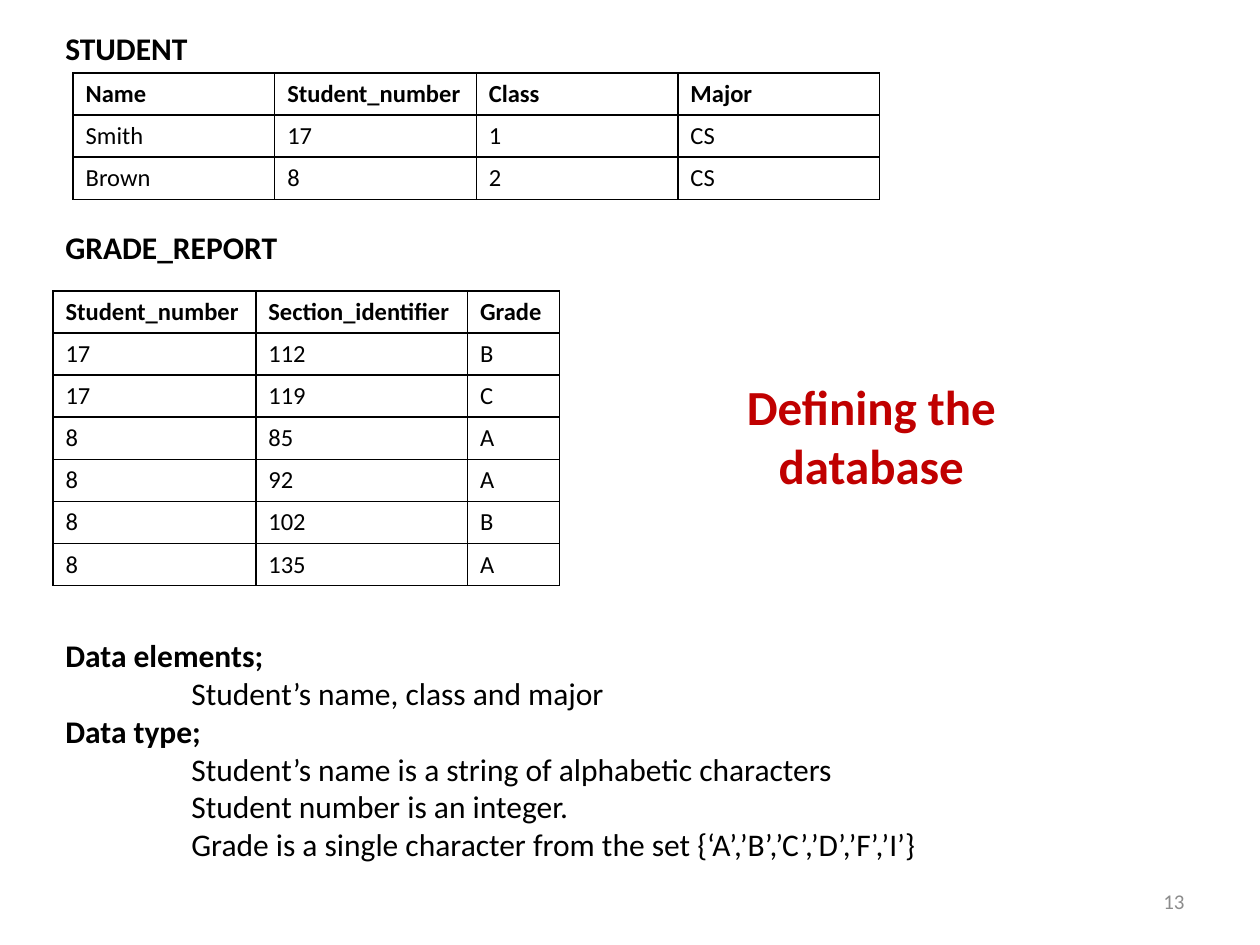
import pptx
import pptx.util
import pptx.dml.color
import pptx.enum.text
import pptx.oxml.ns
from lxml import etree
from pptx.util import Inches, Pt

RGBColor = pptx.dml.color.RGBColor
PP_ALIGN = pptx.enum.text.PP_ALIGN
MSO_ANCHOR = pptx.enum.text.MSO_ANCHOR
qn = pptx.oxml.ns.qn

BLACK = RGBColor(0x00, 0x00, 0x00)
RED = RGBColor(0xC0, 0x00, 0x00)
GRAY = RGBColor(0x8C, 0x8C, 0x8C)
FONT = "Calibri"
LEFT = 0.42
ROW_HEIGHT = 0.33
INDENT = 1

STUDENT = [
    ("Name", "Student_number", "Class", "Major"),
    ("Smith", "17", "1", "CS"),
    ("Brown", "8", "2", "CS"),
]
GRADE_REPORT = [
    ("Student_number", "Section_identifier", "Grade"),
    ("17", "112", "B"),
    ("17", "119", "C"),
    ("8", "85", "A"),
    ("8", "92", "A"),
    ("8", "102", "B"),
    ("8", "135", "A"),
]
DEFINITIONS = [
    ("Data elements;", ["Student’s name, class and major"]),
    ("Data type;", [
        "Student’s name is a string of alphabetic characters",
        "Student number is an integer.",
        "Grade is a single character from the set {‘A’,’B’,’C’,’D’,’F’,’I’}",
    ]),
]


def style(p, size, bold=False, color=BLACK, align=PP_ALIGN.LEFT):
    p.alignment = align
    p.font.name = FONT
    p.font.size = Pt(size)
    p.font.bold = bold
    p.font.color.rgb = color


def add_box(s, left, top, width, height, anchor=MSO_ANCHOR.TOP):
    tf = s.shapes.add_textbox(
        Inches(left), Inches(top), Inches(width), Inches(height)).text_frame
    tf.word_wrap = True
    tf.vertical_anchor = anchor
    return tf


def add_label(s, text, box, size=18, bold=True, color=BLACK,
              align=PP_ALIGN.LEFT, anchor=MSO_ANCHOR.TOP):
    p = add_box(s, *box, anchor).paragraphs[0]
    p.text = text
    style(p, size, bold, color, align)


def add_borders(cell):
    tcPr = cell._tc.get_or_add_tcPr()
    for side in ("a:lnL", "a:lnR", "a:lnT", "a:lnB"):
        ln = etree.SubElement(tcPr, qn(side), w=str(Pt(1)))
        fill = etree.SubElement(ln, qn("a:solidFill"))
        etree.SubElement(fill, qn("a:srgbClr"), val=str(BLACK))


def add_grid(s, rows, left, top, widths):
    table = s.shapes.add_table(
        len(rows), len(widths), Inches(left), Inches(top),
        Inches(sum(widths)), Inches(ROW_HEIGHT * len(rows))).table
    for column, width in zip(table.columns, widths):
        column.width = Inches(width)
    for i, row in enumerate(rows):
        for j, text in enumerate(row):
            cell = table.cell(i, j)
            cell.text = text
            style(cell.text_frame.paragraphs[0], 14, bold=i == 0)
            add_borders(cell)
            cell.fill.background()


def add_definitions(s):
    tf = add_box(s, LEFT, 5, 7.42, 2.22)
    lines = []
    for heading, details in DEFINITIONS:
        lines.append((heading, True))
        lines += [(detail, False) for detail in details]
    for i, (text, is_heading) in enumerate(lines):
        p = tf.paragraphs[0] if i == 0 else tf.add_paragraph()
        p.text = text
        style(p, 18, is_heading)
        if not is_heading:
            p._p.get_or_add_pPr().set("marL", str(Inches(INDENT)))


def main():
    prs = pptx.Presentation()
    prs.slide_width, prs.slide_height = Inches(10), Inches(7.5)
    s = prs.slides.add_slide(prs.slide_layouts[6])
    add_label(s, "Defining the database", (5.5, 3, 2.83, 0.91), 28, True, RED,
              PP_ALIGN.CENTER, MSO_ANCHOR.MIDDLE)
    add_grid(s, STUDENT, 0.58, 0.58, [1.6] * 4)
    add_label(s, "STUDENT", (LEFT, 0.18, 1.77, 0.4))
    add_definitions(s)
    add_grid(s, GRADE_REPORT, LEFT, 2.31, [1.61, 1.68, 0.73])
    add_label(s, "GRADE_REPORT", (LEFT, 1.76, 2, 0.4))
    add_label(s, "13", (7.17, 6.95, 2.33, 0.4), 12, False, GRAY,
              PP_ALIGN.RIGHT, MSO_ANCHOR.MIDDLE)
    prs.save("out.pptx")


if __name__ == "__main__":
    main()
